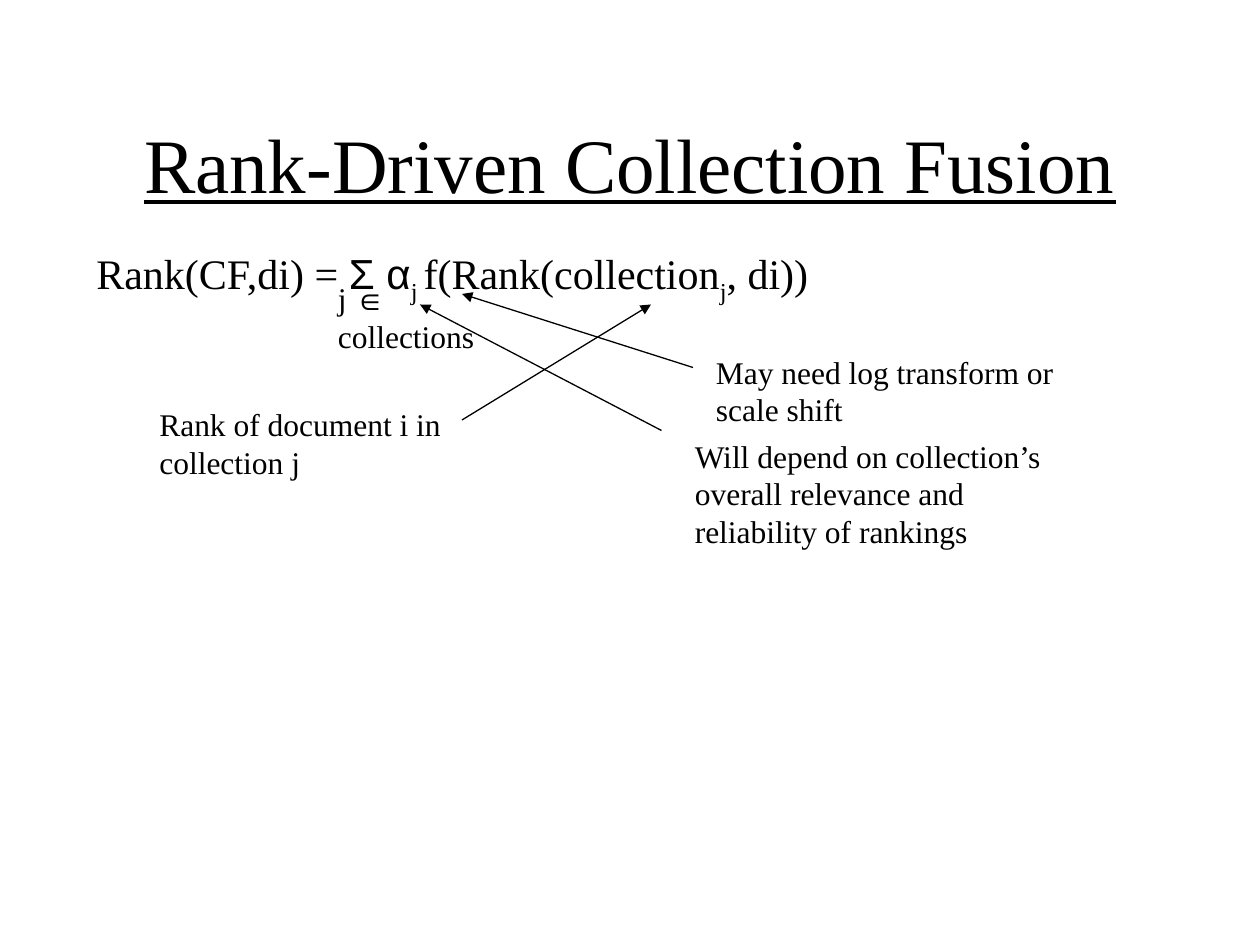
from lxml.etree import SubElement
from pptx import Presentation
from pptx.dml.color import RGBColor as Color
from pptx.enum.shapes import MSO_CONNECTOR as Connector
from pptx.enum.text import MSO_ANCHOR as Anchor, MSO_AUTO_SIZE as Fit, PP_ALIGN as Align
from pptx.oxml.ns import qn
from pptx.util import Inches, Pt

COLORS = {"ink": "000000", "paper": "FFFFFF"}
SERIF, SANS = "Times New Roman", "Arial"
WIDTH, HEIGHT = 10, 7.5
COLUMNS, ROWS = 120, 90

# Content: spans are (text, font, lowered); areas are (column, row, columns, rows)
TITLE = ([("Rank-Driven Collection Fusion", SERIF, False)], (9, 8, 102, 15))
FORMULA = ([
    ("Rank(CF,di) = ", SERIF, False),
    ("Σ α", SANS, False),
    ("j ", SERIF, True),
    ("f(Rank(collection", SERIF, False),
    ("j", SERIF, True),
    (", di))", SERIF, False),
], (8, 23, 104, 6.7))
NOTES = [
    ([("j ", SERIF, False), ("∈ ", SANS, False), ("collections", SERIF, False)],
     (31, 26, 17, 12)),
    ([("May need log transform or scale shift", SERIF, False)], (67, 33, 36, 8.4)),
    ([("Will depend on collection’s overall relevance and reliability of rankings",
       SERIF, False)], (65, 41, 37, 12)),
    ([("Rank of document i in collection j", SERIF, False)], (14, 38, 35, 8.4)),
]
# Arrows run from a note to its term: (column, row) pairs
ARROWS = [((63, 41), (40, 29)), ((66, 35), (44, 28)), ((44, 40), (62, 29))]


def across(columns):
    return Inches(columns * WIDTH / COLUMNS)


def down(rows):
    return Inches(rows * HEIGHT / ROWS)


def add_text(page, spans, area, size=18, underline=False, align=Align.LEFT,
             anchor=Anchor.TOP, fit=Fit.SHAPE_TO_FIT_TEXT):
    left, top, width, height = area
    box = page.shapes.add_textbox(across(left), down(top), across(width), down(height))
    frame = box.text_frame
    frame.word_wrap = True
    frame.auto_size = fit
    frame.vertical_anchor = anchor
    para = frame.paragraphs[0]
    para.alignment = align
    for text, font, lowered in spans:
        span = para.add_run()
        span.text = text
        span.font.name = font
        span.font.size = Pt(size)
        span.font.underline = underline
        span.font.color.rgb = Color.from_string(COLORS["ink"])
        if lowered:
            span.font._element.set("baseline", "-25000")


def add_arrow(page, start, end):
    arrow = page.shapes.add_connector(
        Connector.STRAIGHT, across(start[0]), down(start[1]), across(end[0]), down(end[1]))
    arrow.line.width = Pt(0.75)
    arrow.line.color.rgb = Color.from_string(COLORS["ink"])
    SubElement(arrow.line._get_or_add_ln(), qn("a:tailEnd"), type="triangle")
    SubElement(arrow._element.spPr, qn("a:effectLst"))


def main():
    deck = Presentation()
    deck.slide_width, deck.slide_height = Inches(WIDTH), Inches(HEIGHT)
    page = deck.slides.add_slide(deck.slide_layouts[6])
    page.background.fill.solid()
    page.background.fill.fore_color.rgb = Color.from_string(COLORS["paper"])

    # Title and formula
    add_text(page, *TITLE, size=44, underline=True, align=Align.CENTER,
             anchor=Anchor.MIDDLE, fit=Fit.NONE)
    add_text(page, *FORMULA, size=24)

    # Notes and the arrows to the terms they explain
    for spans, area in NOTES:
        add_text(page, spans, area)
    for start, end in ARROWS:
        add_arrow(page, start, end)

    deck.save("out.pptx")


if __name__ == "__main__":
    main()
